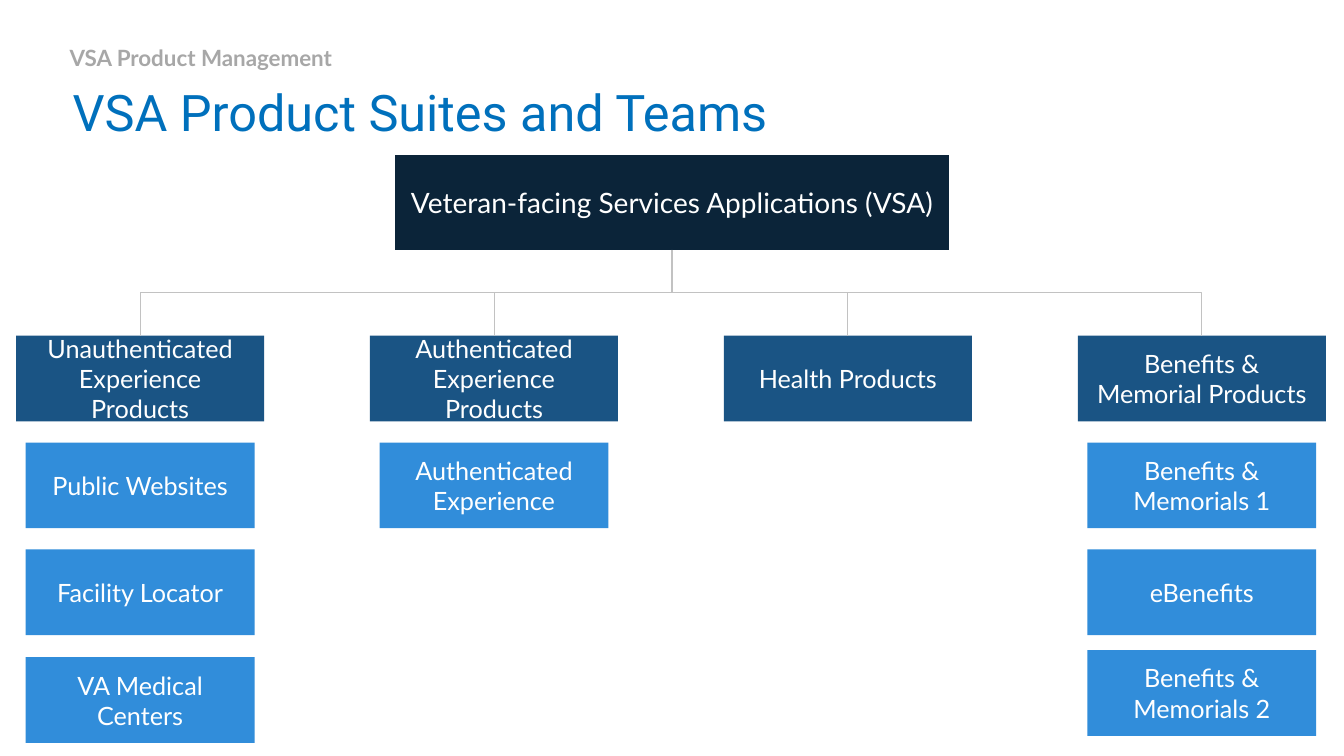
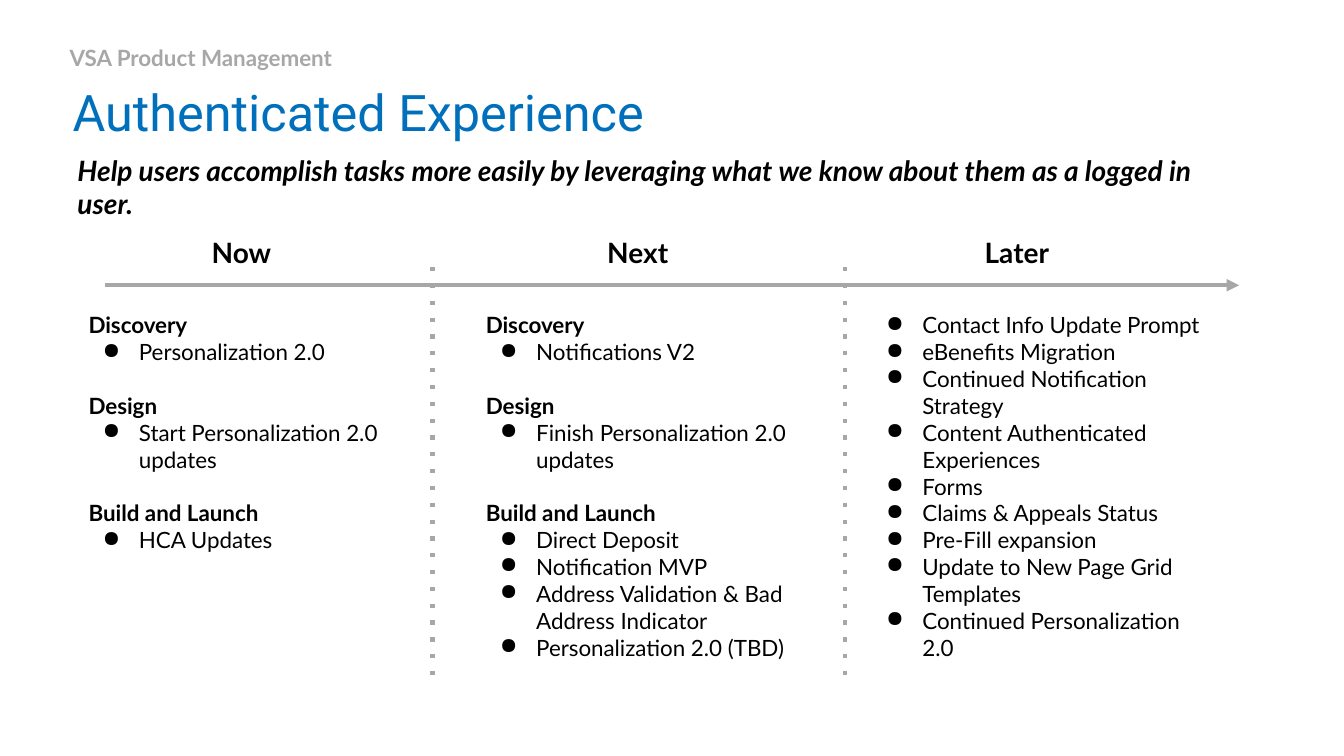
from lxml import etree
from pptx import Presentation
from pptx.dml.color import RGBColor
from pptx.enum.dml import MSO_LINE
from pptx.enum.shapes import MSO_CONNECTOR, MSO_SHAPE
from pptx.enum.text import MSO_ANCHOR, MSO_AUTO_SIZE, PP_ALIGN
from pptx.oxml.ns import qn
from pptx.util import Inches, Pt

BLUE, NAVY, SUITE_BLUE, TEAM_BLUE = "0070BC", "0B2439", "1A5484", "318DDA"
GRAY, LIGHT_GRAY, BLACK, WHITE = "A7A7A7", "C2C2C2", "000000", "FFFFFF"
TITLE_ONLY = 5
TITLE_STYLE = {"name": "Roboto", "size": Pt(36), "color": BLUE}
SECTION_STYLE = {"name": "Lato", "size": Pt(16), "color": GRAY, "bold": True}
ROOT_STYLE = {"name": "Lato", "size": Pt(20), "color": WHITE}
BOX_STYLE = {**ROOT_STYLE, "size": Pt(18)}
HEADING_STYLE = {"name": "Lato", "size": Pt(20), "color": BLACK, "bold": True}
GOAL_STYLE = {**HEADING_STYLE, "italic": True}
ITEM_STYLE = {"name": "Lato", "size": Pt(16), "color": BLACK}
GROUP_STYLE = {**ITEM_STYLE, "bold": True}
GROUP_GAP = Pt(19.2)

SUITE_LEFT, SUITE_PITCH, SUITE_TOP = 0.16, 3.51, 3.33
SUITE_WIDTH, TEAM_WIDTH, BOX_HEIGHT = 2.46, 2.27, 0.85
SUITES = [
    ("Unauthenticated Experience Products",
     [("Public Websites", 4.39), ("Facility Locator", 5.45), ("VA Medical Centers", 6.52)]),
    ("Authenticated Experience Products", [("Authenticated Experience", 4.39)]),
    ("Health Products", []),
    ("Benefits & Memorial Products",
     [("Benefits & Memorials 1", 4.39), ("eBenefits", 5.45), ("Benefits & Memorials 2", 6.45)]),
]
PHASES = [
    ("Now", 1.7, 0.78, 3.23, [
        ("Discovery", ["Personalization 2.0"]),
        ("Design", ["Start Personalization 2.0 updates"]),
        ("Build and Launch", ["HCA Updates"]),
    ]),
    ("Next", 5.63, 4.72, 3.4, [
        ("Discovery", ["Notifications V2"]),
        ("Design", ["Finish Personalization 2.0 updates"]),
        ("Build and Launch", ["Direct Deposit", "Notification MVP",
                              "Address Validation & Bad Address Indicator",
                              "Personalization 2.0 (TBD)"]),
    ]),
    ("Later", 9.39, 8.55, 3.48, [
        (None, ["Contact Info Update Prompt", "eBenefits Migration",
                "Continued Notification Strategy", "Content Authenticated Experiences",
                "Forms", "Claims & Appeals Status", "Pre-Fill expansion",
                "Update to New Page Grid Templates", "Continued Personalization 2.0"]),
    ]),
]


def rgb(value):
    """Turn a hex string into a colour."""
    return RGBColor.from_string(value)


def style_font(font, style):
    """Apply a dict of format values to a font."""
    for key, value in style.items():
        if key == "color":
            font.color.rgb = rgb(value)
        else:
            setattr(font, key, value)


def write(paragraph, text, style, align=PP_ALIGN.LEFT):
    """Fill a paragraph with one formatted run."""
    paragraph.alignment = align
    run = paragraph.add_run()
    run.text = text
    style_font(run.font, style)


def set_frame(frame, inset, anchor=MSO_ANCHOR.TOP):
    """Set wrapping, insets and anchor of a text frame."""
    values = {"word_wrap": True, "auto_size": MSO_AUTO_SIZE.NONE, "vertical_anchor": anchor}
    for side in ("left", "top", "right", "bottom"):
        values[f"margin_{side}"] = Inches(inset)
    for key, value in values.items():
        setattr(frame, key, value)


def add_text_frame(slide, left, top, width, height, inset=0.1, anchor=MSO_ANCHOR.TOP):
    """Add a text box and return its frame."""
    box = slide.shapes.add_textbox(*map(Inches, (left, top, width, height)))
    set_frame(box.text_frame, inset, anchor)
    return box.text_frame


def add_titled_slide(presentation, title):
    """Add a slide with the shared title and section line."""
    slide = presentation.slides.add_slide(presentation.slide_layouts[TITLE_ONLY])
    shape = slide.shapes.title
    bounds = {"left": 0.67, "top": 0.75, "width": 11, "height": 0.66}
    for key, value in bounds.items():
        setattr(shape, key, Inches(value))
    set_frame(shape.text_frame, 0.05)
    write(shape.text_frame.paragraphs[0], title, TITLE_STYLE)
    frame = add_text_frame(slide, 0.64, 0.35, 7.48, 0.39, 0.05, MSO_ANCHOR.MIDDLE)
    frame.paragraphs[0].line_spacing = 1.2
    write(frame.paragraphs[0], "VSA Product Management", SECTION_STYLE)
    return slide


def add_box(slide, text, left, top, width, height, fill, style=BOX_STYLE):
    """Add a filled rectangle with centred text."""
    box = slide.shapes.add_shape(
        MSO_SHAPE.RECTANGLE, *map(Inches, (left, top, width, height)))
    box.shadow.inherit = False
    box.fill.solid()
    box.fill.fore_color.rgb = rgb(fill)
    box.line.fill.background()
    set_frame(box.text_frame, 0.13, MSO_ANCHOR.MIDDLE)
    write(box.text_frame.paragraphs[0], text, style, PP_ALIGN.CENTER)
    return box


def add_line(slide, kind, start, end, color, width):
    """Add a connector without a shadow."""
    line = slide.shapes.add_connector(kind, *start, *end)
    line.line.color.rgb = rgb(color)
    line.line.width = Pt(width)
    etree.SubElement(line.element.spPr, qn("a:effectLst"))
    return line


def add_branch(slide, parent, child):
    """Link a parent's bottom to a child's top with a vertical-first elbow."""
    start_x, start_y = parent.left + parent.width // 2, parent.top + parent.height
    end_x, end_y = child.left + child.width // 2, child.top
    side = 1 if end_x > start_x else -1
    middle_x, middle_y = (start_x + end_x) // 2, (start_y + end_y) // 2
    half_drop, half_span = (end_y - start_y) // 2, abs(end_x - start_x) // 2
    line = add_line(slide, MSO_CONNECTOR.ELBOW,
                    (middle_x + side * half_drop, middle_y - half_span),
                    (middle_x - side * half_drop, middle_y + half_span), LIGHT_GRAY, 0.75)
    line.element.spPr.find(qn("a:xfrm")).set("rot", str((180 + side * 90) * 60000))


def add_bullet(paragraph):
    """Give a paragraph a hanging round bullet."""
    properties = paragraph._p.get_or_add_pPr()
    properties.set("marL", str(Inches(0.5)))
    properties.set("indent", str(Inches(-0.36)))
    color = etree.SubElement(properties, qn("a:buClr"))
    etree.SubElement(color, qn("a:srgbClr"), val=BLACK)
    etree.SubElement(properties, qn("a:buChar"), char="●")


def add_groups(frame, groups):
    """Write bulleted groups, each under its optional bold heading."""
    rows = [(text, number, style)
            for number, (heading, items) in enumerate(groups)
            for text, style in [(heading, GROUP_STYLE)] + [(item, ITEM_STYLE) for item in items]
            if text]
    for index, (text, number, style) in enumerate(rows):
        paragraph = frame.add_paragraph() if index else frame.paragraphs[0]
        if style is ITEM_STYLE:
            add_bullet(paragraph)
        elif number:
            paragraph.space_before = GROUP_GAP
        write(paragraph, text, style)


def build_team_chart(presentation):
    """Build the slide of product suites and teams."""
    slide = add_titled_slide(presentation, "VSA Product Suites and Teams")
    root = add_box(slide, "Veteran-facing Services Applications (VSA)",
                   3.92, 1.54, 5.49, 0.94, NAVY, ROOT_STYLE)
    for column, (suite, teams) in enumerate(SUITES):
        left = SUITE_LEFT + column * SUITE_PITCH
        suite_box = add_box(slide, suite, left, SUITE_TOP, SUITE_WIDTH, BOX_HEIGHT, SUITE_BLUE)
        add_branch(slide, root, suite_box)
        team_left = left + (SUITE_WIDTH - TEAM_WIDTH) / 2
        for team, top in teams:
            add_box(slide, team, team_left, top, TEAM_WIDTH, BOX_HEIGHT, TEAM_BLUE)


def build_roadmap(presentation):
    """Build the now, next and later slide."""
    slide = add_titled_slide(presentation, "Authenticated Experience")
    goal = add_text_frame(slide, 0.67, 1.42, 11.36, 0.82)
    write(goal.paragraphs[0], "Help users accomplish tasks more easily by leveraging "
          "what we know about them as a logged in user.", GOAL_STYLE)
    arrow = add_line(slide, MSO_CONNECTOR.STRAIGHT, (Inches(1.04), Inches(2.83)),
                     (Inches(12.29), Inches(2.83)), GRAY, 3)
    etree.SubElement(arrow.line._get_or_add_ln(), qn("a:tailEnd"), type="triangle")
    for x in (4.29, 8.38):
        divider = add_line(slide, MSO_CONNECTOR.STRAIGHT, (Inches(x), Inches(2.65)),
                           (Inches(x), Inches(6.72)), GRAY, 3)
        divider.line.dash_style = MSO_LINE.ROUND_DOT
        divider.line._get_or_add_ln().find(qn("a:prstDash")).set("val", "dot")
    for phase, heading_left, left, width, groups in PHASES:
        heading = add_text_frame(slide, heading_left, 2.24, 1.39, 0.5)
        write(heading.paragraphs[0], phase, HEADING_STYLE, PP_ALIGN.CENTER)
        add_groups(add_text_frame(slide, left, 2.99, width, 3.59), groups)


def main():
    """Build and save the presentation."""
    presentation = Presentation()
    presentation.slide_width = Inches(13.33)
    presentation.slide_height = Inches(7.5)
    build_team_chart(presentation)
    build_roadmap(presentation)
    presentation.save("out.pptx")


if __name__ == "__main__":
    main()
